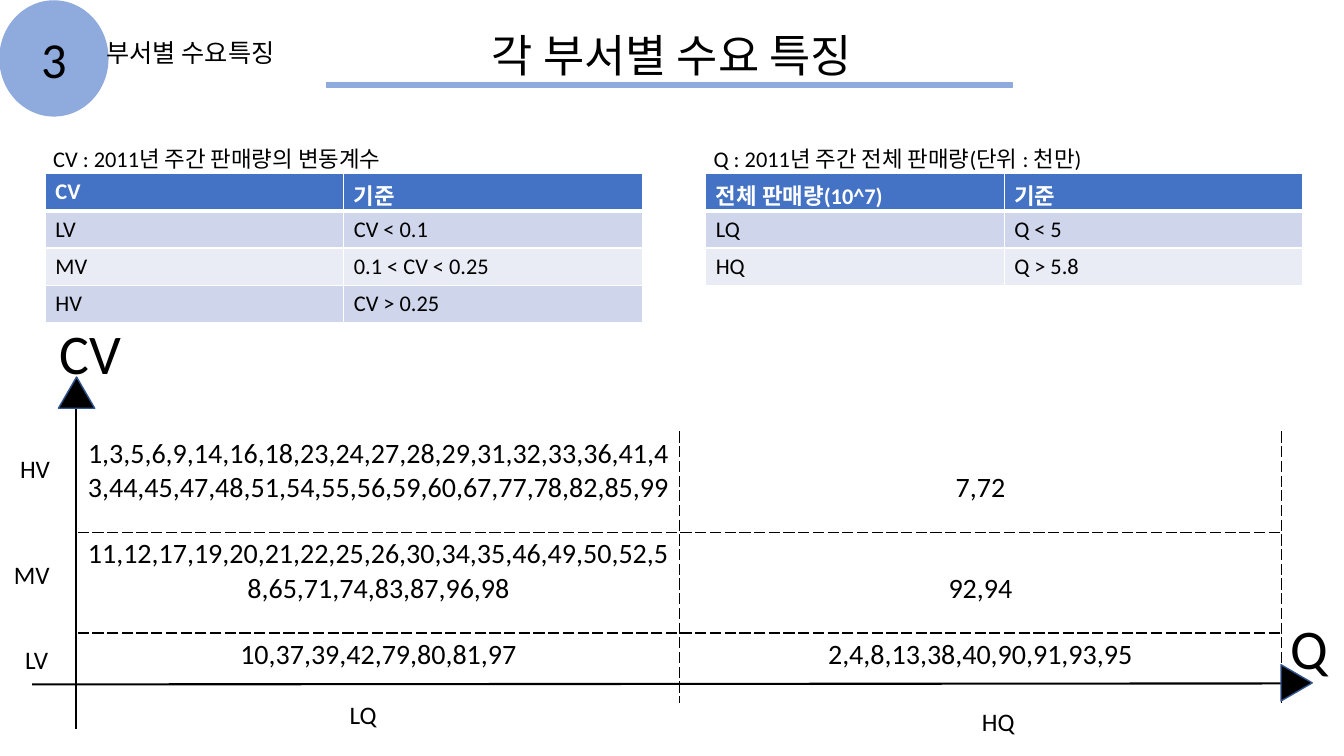
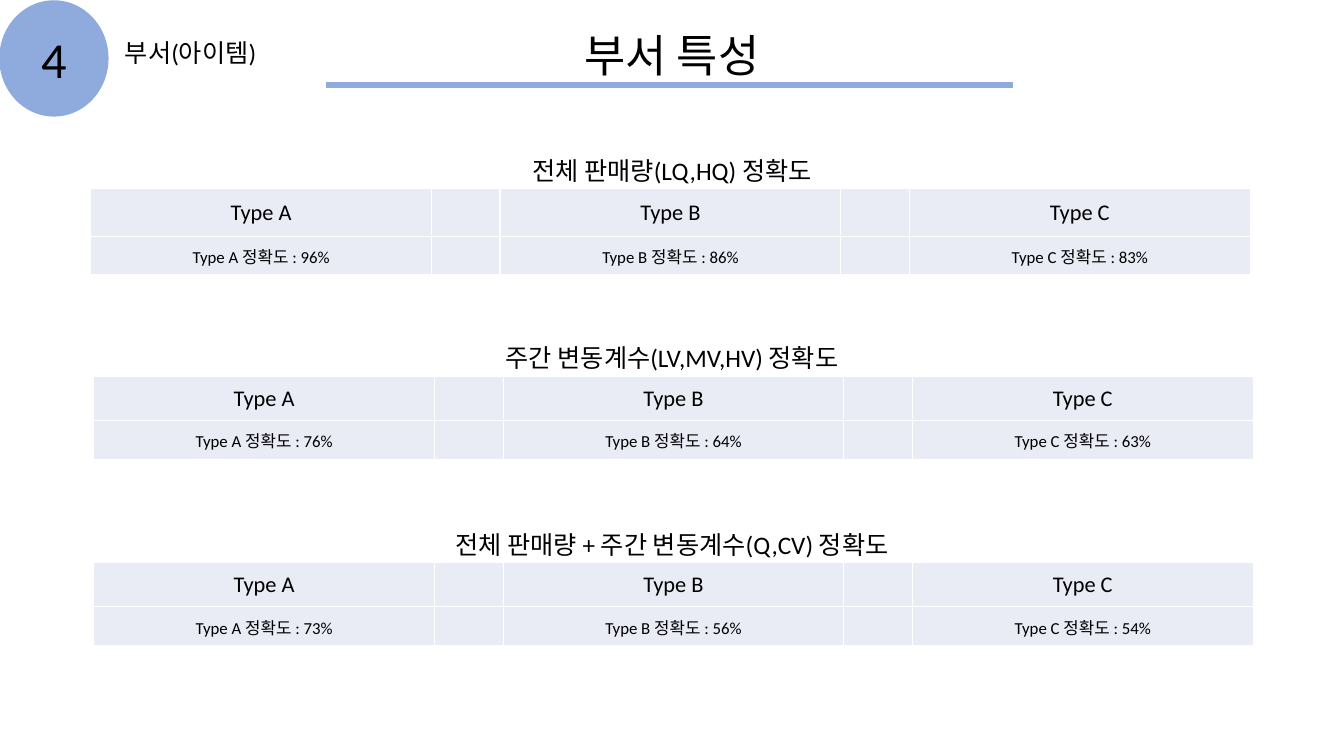
from lxml import etree
from pptx import Presentation
from pptx.dml.color import RGBColor
from pptx.enum.shapes import MSO_CONNECTOR, MSO_SHAPE
from pptx.enum.text import MSO_ANCHOR, PP_ALIGN
from pptx.oxml.ns import qn
from pptx.util import Inches, Pt

FONT = "Calibri"
BLACK, WHITE = "000000", "FFFFFF"
ACCENT, HEADER = "8FAADC", "4472C4"
BAND_DARK, BAND_LIGHT = "CFD5EA", "E9EBF5"
TRIANGLE_EDGE = "325491"
NO_GRID_STYLE = "{2D5ABB26-0587-4C30-8999-92F81FD0307C}"
LEFT, CENTER = PP_ALIGN.LEFT, PP_ALIGN.CENTER
TOP, MIDDLE = MSO_ANCHOR.TOP, MSO_ANCHOR.MIDDLE
STRAIGHT = MSO_CONNECTOR.STRAIGHT
ELLIPSE, RECT = MSO_SHAPE.OVAL, MSO_SHAPE.RECTANGLE
TRIANGLE = MSO_SHAPE.ISOSCELES_TRIANGLE
SLIDE_W = 13.33
TITLE_ONLY = 5


def rgb(color):
    return RGBColor.from_string(color)


def box(x, y, w, h):
    return [Inches(v) for v in (x, y, w, h)]


def write(tf, text, size, align=LEFT, color=BLACK, bold=False):
    tf.text = text
    p = tf.paragraphs[0]
    p.alignment = align
    for font in [p.font] + [r.font for r in p.runs]:
        font.name, font.size, font.bold = FONT, Pt(size), bold
        font.color.rgb = rgb(color)


def add_label(s, x, y, w, h, text, size, align=LEFT):
    tf = s.shapes.add_textbox(*box(x, y, w, h)).text_frame
    tf.word_wrap = True
    write(tf, text, size, align)


def add_solid(s, kind, x, y, w, h, fill, line):
    sp = s.shapes.add_shape(kind, *box(x, y, w, h))
    sp.shadow.inherit = False
    sp.fill.solid()
    sp.fill.fore_color.rgb = rgb(fill)
    sp.line.color.rgb = rgb(line)
    sp.line.width = Pt(1)
    return sp


def add_axis(s, x1, y1, x2, y2):
    axis = s.shapes.add_connector(STRAIGHT, *box(x1, y1, x2, y2))
    axis.line.color.rgb = rgb(BLACK)
    axis.line.width = Pt(1.5)
    etree.SubElement(axis.line._get_or_add_ln(), qn("a:tailEnd"), type="triangle")
    etree.SubElement(axis._element.spPr, qn("a:effectLst"))


def set_borders(cell, color, dash="solid", **widths):
    """Draw the sides given as L, R, T, B with their widths in points."""
    tcPr = cell._tc.get_or_add_tcPr()
    for side in "LRTB":
        if side not in widths:
            continue
        ln = etree.SubElement(tcPr, qn("a:ln" + side), w=str(Pt(widths[side])))
        fill = etree.SubElement(ln, qn("a:solidFill"))
        etree.SubElement(fill, qn("a:srgbClr"), val=color)
        etree.SubElement(ln, qn("a:prstDash"), val=dash)


def add_grid(s, x, y, col_widths, row_heights):
    """Add a table without any style."""
    shape = s.shapes.add_table(len(row_heights), len(col_widths),
                               *box(x, y, sum(col_widths), sum(row_heights)))
    table = shape.table
    table.first_row = table.horz_banding = False
    table._tbl.tblPr.find(qn("a:tableStyleId")).text = NO_GRID_STYLE
    for col, width in zip(table.columns, col_widths):
        col.width = Inches(width)
    for row, height in zip(table.rows, row_heights):
        row.height = Inches(height)
    return table


def fill_cell(cell, fill):
    cell.fill.solid()
    cell.fill.fore_color.rgb = rgb(fill)


def add_header(s, number, section, title):
    title_sp = s.shapes.title
    title_sp.left, title_sp.top, title_sp.width, title_sp.height = box(2.04, 0.22, 9.25, 0.64)
    title_sp.text_frame.vertical_anchor = TOP
    write(title_sp.text_frame, title, 32, CENTER)
    badge = add_solid(s, ELLIPSE, 0, 0.01, 1.07, 1.14, ACCENT, ACCENT)
    badge.text_frame.vertical_anchor = MIDDLE
    write(badge.text_frame, number, 36, CENTER)
    add_label(s, 0.75, 0.32, 2.28, 0.4, section, 18, CENTER)
    add_solid(s, RECT, 3.24, 0.82, 6.8, 0.05, ACCENT, ACCENT)


def add_criteria(s, x, y, caption, rows):
    add_label(s, x - 0.02, y - 0.33, 5.93, 0.37, caption, 16)
    table = add_grid(s, x, y, [2.96] * 2, [0.37] * len(rows))
    for i, row in enumerate(rows):
        is_header = i == 0
        fill = HEADER if is_header else BAND_DARK if i % 2 else BAND_LIGHT
        for j, text in enumerate(row):
            cell = table.cell(i, j)
            write(cell.text_frame, text, 16, color=WHITE if is_header else BLACK,
                  bold=is_header)
            set_borders(cell, WHITE, L=1, R=1, T=3 if i == 1 else 1, B=3 if is_header else 1)
            fill_cell(cell, fill)


def add_matrix(s, x, y, rows):
    """Place the departments by CV (rows) and Q (columns) between two axes."""
    heights = [1, 1, 0.69]
    table = add_grid(s, x, y, [5.97] * 2, heights)
    last = len(rows) - 1
    for i, row in enumerate(rows):
        for j, text in enumerate(row):
            cell = table.cell(i, j)
            write(cell.text_frame, text, 20, CENTER)
            if j == 1 and i < last:
                cell.margin_top = Inches(0.39)
            sides = {"R": 1}
            if j:
                sides["L"] = 1
            if i:
                sides["T"] = 1
            if i < last:
                sides["B"] = 1
            set_borders(cell, BLACK, "sysDash", **sides)

    add_axis(s, x - 0.02, y + 2.95, x - 0.02, y - 0.51)
    add_axis(s, x - 0.45, y + 2.51, x + 12.24, y + 2.5)
    add_label(s, x - 0.28, y - 1.17, 1.15, 0.77, "CV", 40)
    add_label(s, x + 11.93, y + 1.76, 0.63, 0.77, "Q", 40)
    add_solid(s, TRIANGLE, x - 0.19, y - 0.54, 0.36, 0.31, BLACK, TRIANGLE_EDGE)
    tip = add_solid(s, TRIANGLE, x + 11.91, y + 2.34, 0.36, 0.31, BLACK, TRIANGLE_EDGE)
    tip.rotation = 90
    for text, dx, dy in [("HQ", 8.87, 2.68), ("LQ", 2.6, 2.61), ("HV", -0.67, 0.17),
                         ("MV", -0.73, 1.22), ("LV", -0.62, 2.06)]:
        add_label(s, x + dx, y + dy, 0.59, 0.4, text, 18)


def add_accuracy(s, x, y, row_heights, caption, scores):
    add_label(s, 0, y - 0.38, SLIDE_W, 0.4, caption, 18, CENTER)
    table = add_grid(s, x, y, [3.38, 0.68, 3.38, 0.68, 3.38], row_heights)
    for cell in table.iter_cells():
        cell.margin_left = cell.margin_right = cell.margin_top = Inches(0.01)
        cell.margin_bottom = 0
        cell.vertical_anchor = MIDDLE
        set_borders(cell, WHITE, L=1, R=1, T=1, B=1)
        fill_cell(cell, BAND_LIGHT)
    for k, (name, score) in enumerate(zip("ABC", scores)):
        write(table.cell(0, 2 * k).text_frame, f"Type {name}", 16, CENTER)
        write(table.cell(1, 2 * k).text_frame, f"Type {name} 정확도 : {score}%", 12, CENTER)


def build_demand_slide(s):
    add_header(s, "3", "부서별 수요특징", "각 부서별 수요 특징")
    add_criteria(s, 0.45, 1.72, "CV : 2011년 주간 판매량의 변동계수", [
        ("CV", "기준"),
        ("LV", "CV < 0.1"),
        ("MV", "0.1 < CV < 0.25"),
        ("HV", "CV > 0.25"),
    ])
    add_criteria(s, 7, 1.72, "Q : 2011년 주간 전체 판매량(단위 : 천만)", [
        ("전체 판매량(10^7)", "기준"),
        ("LQ", "Q < 5"),
        ("HQ", "Q > 5.8"),
    ])
    add_matrix(s, 0.77, 4.28, [
        ("1,3,5,6,9,14,16,18,23,24,27,28,29,31,32,33,36,41,43,44,45,47,48,51,54,"
         "55,56,59,60,67,77,78,82,85,99", "7,72"),
        ("11,12,17,19,20,21,22,25,26,30,34,35,46,49,50,52,58,65,71,74,83,87,96,98", "92,94"),
        ("10,37,39,42,79,80,81,97", "2,4,8,13,38,40,90,91,93,95"),
    ])


def build_accuracy_slide(s):
    add_header(s, "4", "부서(아이템)", "부서 특성")
    add_accuracy(s, 0.9, 1.87, [0.48, 0.37], "전체 판매량(LQ,HQ) 정확도", [96, 86, 83])
    add_accuracy(s, 0.93, 3.73, [0.44, 0.39], "주간 변동계수(LV,MV,HV) 정확도", [76, 64, 63])
    add_accuracy(s, 0.93, 5.58, [0.44, 0.39], "전체 판매량 + 주간 변동계수(Q,CV) 정확도",
                 [73, 56, 54])


def main():
    prs = Presentation()
    prs.slide_width, prs.slide_height = Inches(SLIDE_W), Inches(7.5)
    for build in (build_demand_slide, build_accuracy_slide):
        build(prs.slides.add_slide(prs.slide_layouts[TITLE_ONLY]))
    prs.save("out.pptx")


if __name__ == "__main__":
    main()
